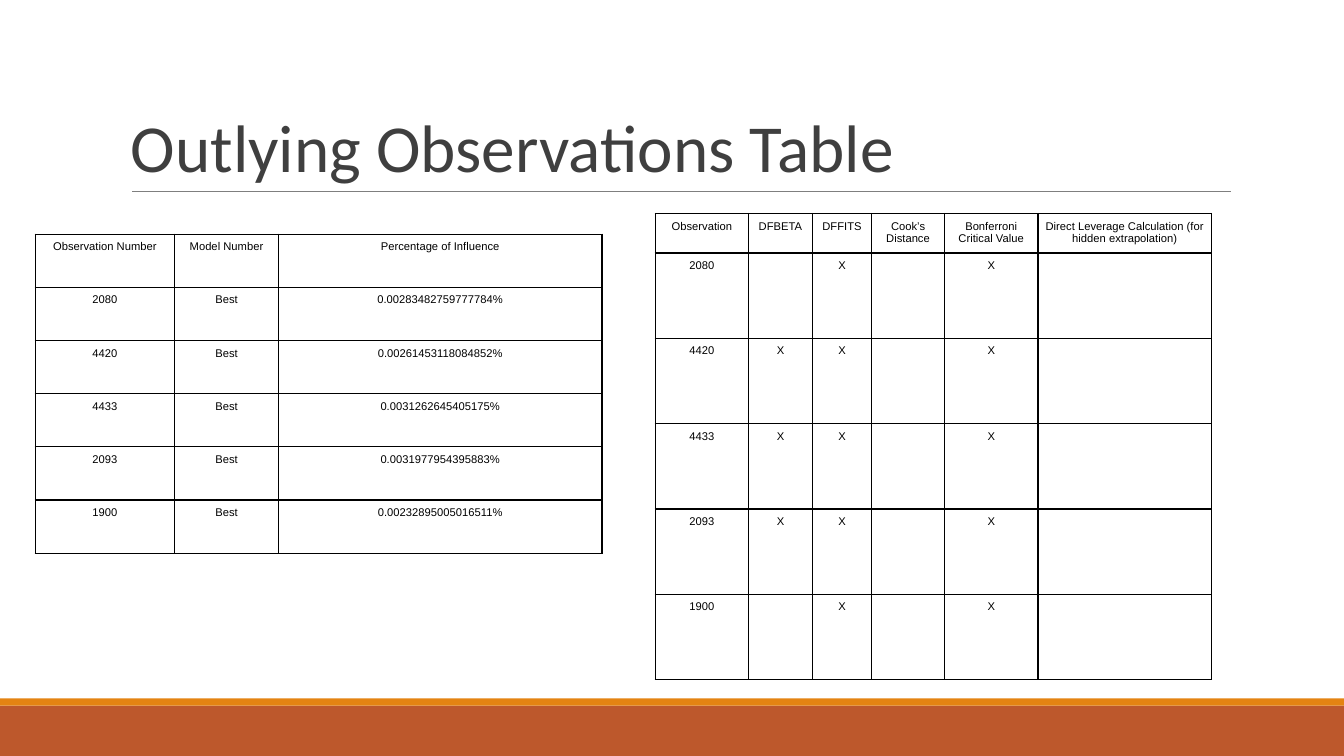
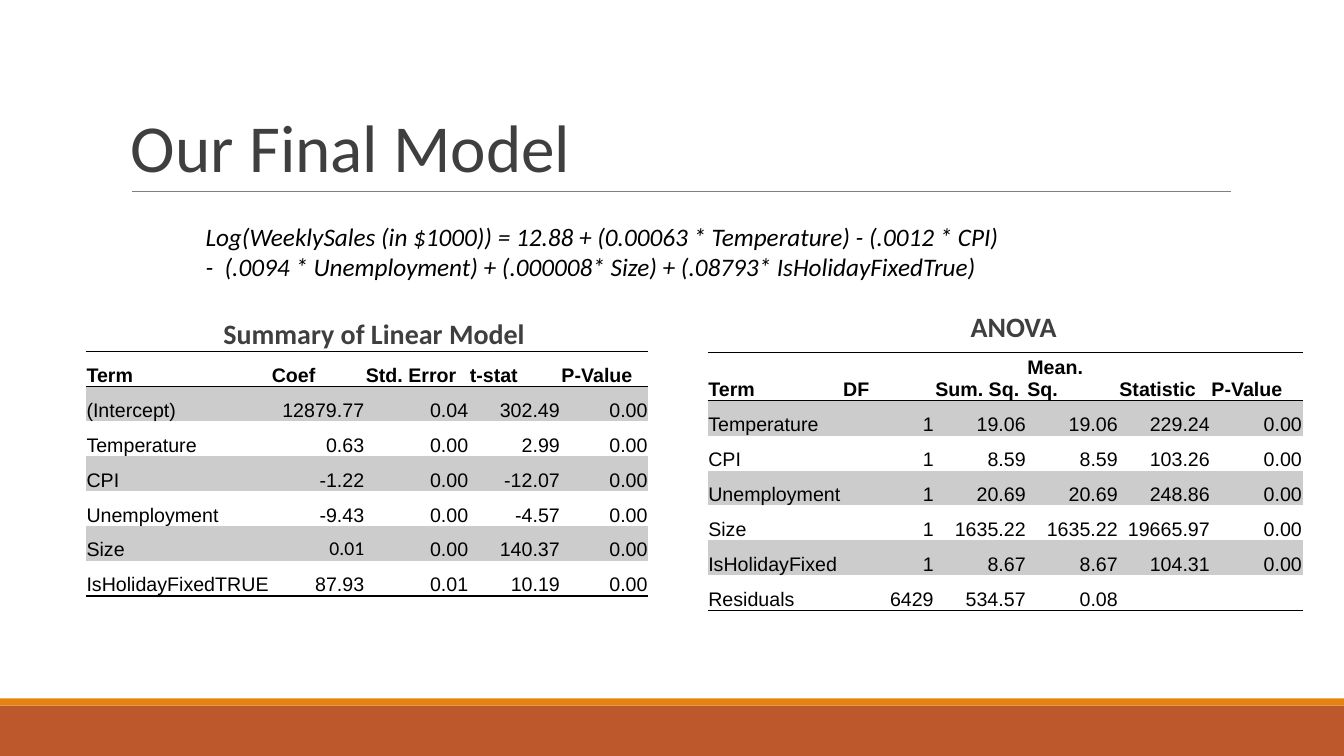
from lxml.etree import SubElement
from pptx import Presentation
from pptx.dml.color import RGBColor
from pptx.enum.shapes import MSO_CONNECTOR, MSO_SHAPE
from pptx.enum.text import MSO_ANCHOR, PP_ALIGN
from pptx.oxml.ns import qn
from pptx.util import Cm, Pt


def rgb(hex_color):
    return RGBColor.from_string(hex_color)


class Deck:
    WIDTH, HEIGHT = 33.87, 19.05
    BODY, HEADING = "Arial", "Calibri"
    BLACK, DARK, RULE = "000000", "3F3F3F", "7F7F7F"
    RUST, ORANGE, STRIPE = "BD582C", "E48312", "CCCCCC"

    def __init__(self):
        self.prs = Presentation()
        self.prs.slide_width, self.prs.slide_height = Cm(self.WIDTH), Cm(self.HEIGHT)
        self.s = None

    def slide(self, title):
        """Start a slide with its footer bands, title and rule."""
        self.s = self.prs.slides.add_slide(self.prs.slide_layouts[6])
        self.band(17.78, 1.27, self.RUST)
        self.band(17.6, 0.18, self.ORANGE)
        self.rule(3.33, 31.01, 4.83)
        self.text(3.05, 0.79, 27.94, 4.04, [title], 48, self.DARK,
                  spacing=0.85, anchor=MSO_ANCHOR.BOTTOM)

    def band(self, y, h, color):
        sp = self.s.shapes.add_shape(MSO_SHAPE.RECTANGLE, 0, Cm(y), Cm(self.WIDTH), Cm(h))
        sp.shadow.inherit = False
        sp.fill.solid()
        sp.fill.fore_color.rgb = rgb(color)
        sp.line.fill.background()

    def rule(self, x1, x2, y):
        line = self.s.shapes.add_connector(MSO_CONNECTOR.STRAIGHT, Cm(x1), Cm(y), Cm(x2), Cm(y))
        line.line.color.rgb = rgb(self.RULE)
        line.line.width = Pt(0.75)
        SubElement(line._element.spPr, qn("a:effectLst"))

    def style(self, p, size, color, font, bold=False, italic=False):
        p.font.size, p.font.name = Pt(size), font
        p.font.bold, p.font.italic = bold, italic
        p.font.color.rgb = rgb(color)

    def text(self, x, y, w, h, lines, size, color, bold=False, italic=False,
             spacing=1.0, anchor=MSO_ANCHOR.TOP):
        tf = self.s.shapes.add_textbox(Cm(x), Cm(y), Cm(w), Cm(h)).text_frame
        tf.word_wrap = True
        tf.vertical_anchor = anchor
        for i, line in enumerate(lines):
            p = tf.add_paragraph() if i else tf.paragraphs[0]
            p.text = line
            p.line_spacing = spacing
            self.style(p, size, color, self.HEADING, bold, italic)

    def table(self, x, y, cols, heights, rows):
        tbl = self.s.shapes.add_table(len(rows), len(cols), Cm(x), Cm(y),
                                      Cm(sum(cols)), Cm(sum(heights))).table
        tbl.first_row = tbl.horz_banding = False
        for col, w in zip(tbl.columns, cols):
            col.width = Cm(w)
        for row, h in zip(tbl.rows, heights):
            row.height = Cm(h)
        for i, row in enumerate(rows):
            for j, value in enumerate(row):
                tbl.cell(i, j).text = value
        return tbl

    def borders(self, cell, drawn):
        """Draw the sides named in drawn (from L, R, T, B) and clear the others."""
        for side in "LRTB":
            ln = SubElement(cell._tc.get_or_add_tcPr(), qn(f"a:ln{side}"), w=str(Pt(1)))
            if side in drawn:
                fill = SubElement(ln, qn("a:solidFill"))
                SubElement(fill, qn("a:srgbClr"), val=self.BLACK)
            else:
                SubElement(ln, qn("a:noFill"))

    def margins(self, cell, side, bottom):
        cell.margin_left = cell.margin_right = cell.margin_top = Cm(side)
        cell.margin_bottom = Cm(bottom)

    def grid_table(self, x, y, cols, heights, rows):
        """Add a small centred table with every border drawn."""
        tbl = self.table(x, y, cols, heights, rows)
        for cell in tbl.iter_cells():
            self.margins(cell, 0.16, 0.16)
            self.borders(cell, "LRTB")
            cell.fill.background()
            for p in cell.text_frame.paragraphs:
                p.alignment = PP_ALIGN.CENTER
                self.style(p, 8, self.BLACK, self.BODY)

    def striped_table(self, x, y, cols, rows):
        """Add a table of figures with grey stripes, ruled at header and foot."""
        tbl = self.table(x, y, cols, [0.88] * len(rows), rows)
        ruled = {0, 1, len(rows)}
        for i, row in enumerate(tbl.rows):
            drawn = "T" * (i in ruled) + "B" * (i + 1 in ruled)
            for j, cell in enumerate(row.cells):
                self.margins(cell, 0.02, 0)
                cell.vertical_anchor = MSO_ANCHOR.BOTTOM
                self.borders(cell, drawn)
                if i % 2:
                    cell.fill.solid()
                    cell.fill.fore_color.rgb = rgb(self.STRIPE)
                else:
                    cell.fill.background()
                p = cell.text_frame.paragraphs[0]
                p.alignment = PP_ALIGN.RIGHT if i and j else PP_ALIGN.LEFT
                self.style(p, 14, self.BLACK, self.BODY, bold=i == 0)
        return tbl

    def caption(self, x, y, w, text, spacing):
        self.text(x, y, w, 1.07, [text], 20, self.DARK, bold=True, spacing=spacing)


def outliers_slide(deck):
    deck.slide("Outlying Observations Table")
    influence = {
        "2080": "0.00283482759777784%",
        "4420": "0.00261453118084852%",
        "4433": "0.0031262645405175%",
        "2093": "0.0031977954395883%",
        "1900": "0.00232895005016511%",
    }
    rows = [["Observation Number", "Model Number", "Percentage of Influence"]]
    rows += [[number, "Best", share] for number, share in influence.items()]
    deck.grid_table(0.89, 5.9, [3.51, 2.62, 8.15], [1.34] * 6, rows)

    high_dfbeta = {"4420", "4433", "2093"}
    rows = [["Observation", "DFBETA", "DFFITS", "Cook’s Distance",
             "Bonferroni\nCritical Value",
             "Direct Leverage Calculation (for hidden extrapolation)"]]
    rows += [[number, "X" if number in high_dfbeta else "", "X", "", "X", ""]
             for number in influence]
    deck.grid_table(16.51, 5.38, [2.36, 1.6, 1.5, 1.83, 2.36, 4.37],
                    [0.99] + [2.15] * 5, rows)


def model_slide(deck):
    deck.slide("Our Final Model")
    summary = deck.striped_table(2.16, 8.86, [4.67, 2.37, 2.62, 2.31, 2.21], [
        ["Term", "Coef", "Std. Error", "t-stat", "P-Value"],
        ["(Intercept)", "12879.77", "0.04", "302.49", "0.00"],
        ["Temperature", "0.63", "0.00", "2.99", "0.00"],
        ["CPI", "-1.22", "0.00", "-12.07", "0.00"],
        ["Unemployment", "-9.43", "0.00", "-4.57", "0.00"],
        ["Size", "0.01", "0.00", "140.37", "0.00"],
        ["IsHolidayFixedTRUE", "87.93", "0.01", "10.19", "0.00"],
    ])
    size_coef = summary.cell(5, 1).text_frame.paragraphs[0]
    size_coef.font.name = deck.HEADING

    deck.text(4.93, 5.44, 23.93, 1.8, [
        "Log(WeeklySales (in $1000)) = 12.88 + (0.00063 * Temperature) - (.0012 * CPI)",
        "-  (.0094 * Unemployment) + (.000008* Size) + (.08793* IsHolidayFixedTrue)",
    ], 18, deck.BLACK, italic=True)

    deck.striped_table(17.83, 8.89, [3.4] + [2.32] * 5, [
        ["Term", "DF", "Sum. Sq.", "Mean. Sq.", "Statistic", "P-Value"],
        ["Temperature", "1", "19.06", "19.06", "229.24", "0.00"],
        ["CPI", "1", "8.59", "8.59", "103.26", "0.00"],
        ["Unemployment", "1", "20.69", "20.69", "248.86", "0.00"],
        ["Size", "1", "1635.22", "1635.22", "19665.97", "0.00"],
        ["IsHolidayFixed", "1", "8.67", "8.67", "104.31", "0.00"],
        ["Residuals", "6429", "534.57", "0.08", "", ""],
    ])
    deck.caption(24.21, 7.85, 5, "ANOVA", 0.8)
    deck.caption(5.38, 7.95, 8.23, "Summary of Linear Model", 0.9)


def main():
    deck = Deck()
    outliers_slide(deck)
    model_slide(deck)
    deck.prs.save("out.pptx")


if __name__ == "__main__":
    main()
